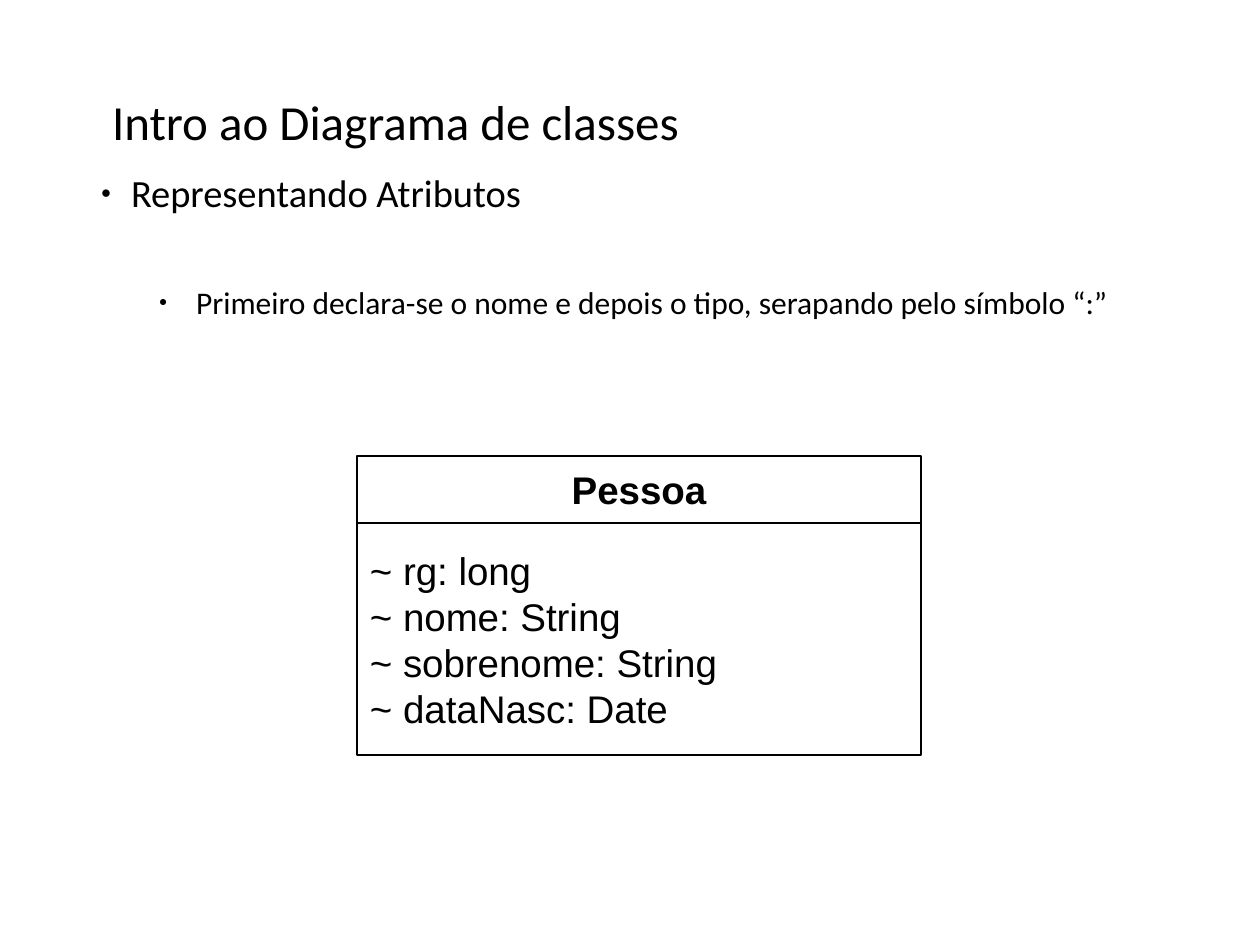
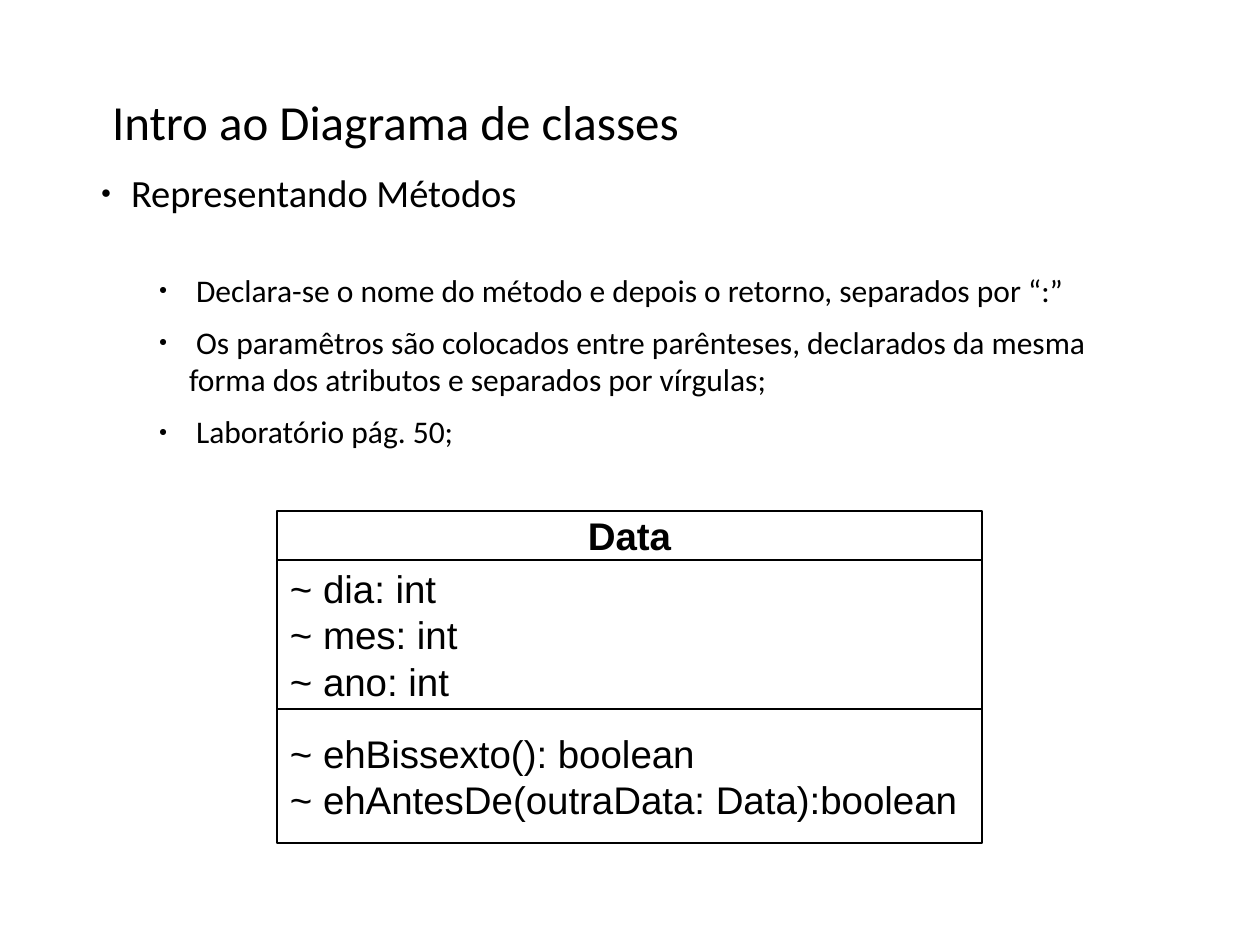
from lxml import etree
from pptx import Presentation
from pptx import util as u
from pptx.dml.color import RGBColor
from pptx.enum import shapes, text
from pptx.oxml import ns

PX = 914400 / 126
BLACK = RGBColor(0, 0, 0)
WHITE = RGBColor(255, 255, 255)
BODY_FONT = "Calibri"
CLASS_FONT = "Arial"
TITLE = "Intro ao Diagrama de classes"
HANG = 30
TWO_CONTENT = 3


def px(n):
    return u.Emu(round(n * PX))


def place(sp, x, y, w, h):
    sp.left, sp.top, sp.width, sp.height = px(x), px(y), px(w), px(h)


def add_bullet(p):
    pPr = p._p.get_or_add_pPr()
    pPr.set("marL", str(px(HANG)))
    pPr.set("indent", str(-px(HANG)))
    color = etree.SubElement(pPr, ns.qn("a:buClr"))
    etree.SubElement(color, ns.qn("a:srgbClr"), val=str(BLACK))
    etree.SubElement(pPr, ns.qn("a:buSzPct"), val="45000")
    etree.SubElement(pPr, ns.qn("a:buFont"), typeface=CLASS_FONT)
    etree.SubElement(pPr, ns.qn("a:buChar"), char="●")


def write(sp, lines, size, font=BODY_FONT, bold=False, align=text.PP_ALIGN.LEFT,
          bullet=False, gap=0, inset=(13, 6)):
    tf = sp.text_frame
    tf.word_wrap = True
    tf.auto_size = text.MSO_AUTO_SIZE.NONE
    tf.vertical_anchor = text.MSO_ANCHOR.MIDDLE
    tf.margin_left = tf.margin_right = px(inset[0])
    tf.margin_top = tf.margin_bottom = px(inset[1])
    for i, line in enumerate(lines):
        p = tf.add_paragraph() if i else tf.paragraphs[0]
        if bullet:
            add_bullet(p)
        p.alignment = align
        p.space_before = u.Pt(gap if i else 0)
        r = p.add_run()
        r.text = line
        r.font.name = font
        r.font.size = u.Pt(size)
        r.font.bold = bold
        r.font.color.rgb = BLACK


def add_topic_slide(prs, heading, items, items_top, items_height):
    s = prs.slides.add_slide(prs.slide_layouts[TWO_CONTENT])
    title, detail, topic = s.placeholders
    place(title, 99, 28, 1071, 186)
    write(title, [TITLE], 28)
    place(detail, 159, items_top, 956, items_height)
    write(detail, items, 18, bullet=True, gap=8, inset=(0, 0))
    place(topic, 101, 169, 940, 47)
    write(topic, [heading], 22, bullet=True, inset=(0, 0))
    return s


def add_compartment(s, x, y, w, h, lines, **fmt):
    sp = s.shapes.add_shape(shapes.MSO_SHAPE.RECTANGLE, px(x), px(y), px(w), px(h))
    sp.shadow.inherit = False
    sp.fill.solid()
    sp.fill.fore_color.rgb = WHITE
    sp.line.color.rgb = BLACK
    sp.line.width = u.Pt(0.75)
    write(sp, lines, 22, font=CLASS_FONT, **fmt)


def add_class_box(s, x, y, w, name, name_height, compartments):
    add_compartment(s, x, y, w, name_height, [name], bold=True,
                    align=text.PP_ALIGN.CENTER)
    y += name_height
    for height, members in compartments:
        add_compartment(s, x, y, w, height, [f"~ {m}" for m in members])
        y += height


def main():
    prs = Presentation()
    prs.slide_width, prs.slide_height = px(1260), px(945)

    s = add_topic_slide(prs, "Representando Atributos", [
        " Primeiro declara-se o nome e depois o tipo, serapando pelo símbolo “:”",
    ], 246, 111)
    add_class_box(s, 357, 456, 564, "Pessoa", 67, [
        (232, ["rg: long", "nome: String", "sobrenome: String", "dataNasc: Date"]),
    ])

    s = add_topic_slide(prs, "Representando Métodos", [
        " Declara-se o nome do método e depois o retorno, separados por “:”",
        " Os paramêtros são colocados entre parênteses, declarados da mesma "
        "forma dos atributos e separados por vírgulas;",
        " Laboratório pág. 50;",
    ], 233, 255)
    add_class_box(s, 277, 511, 705, "Data", 49, [
        (149, ["dia: int", "mes: int", "ano: int"]),
        (134, ["ehBissexto(): boolean", "ehAntesDe(outraData: Data):boolean"]),
    ])

    prs.save("out.pptx")


if __name__ == "__main__":
    main()
